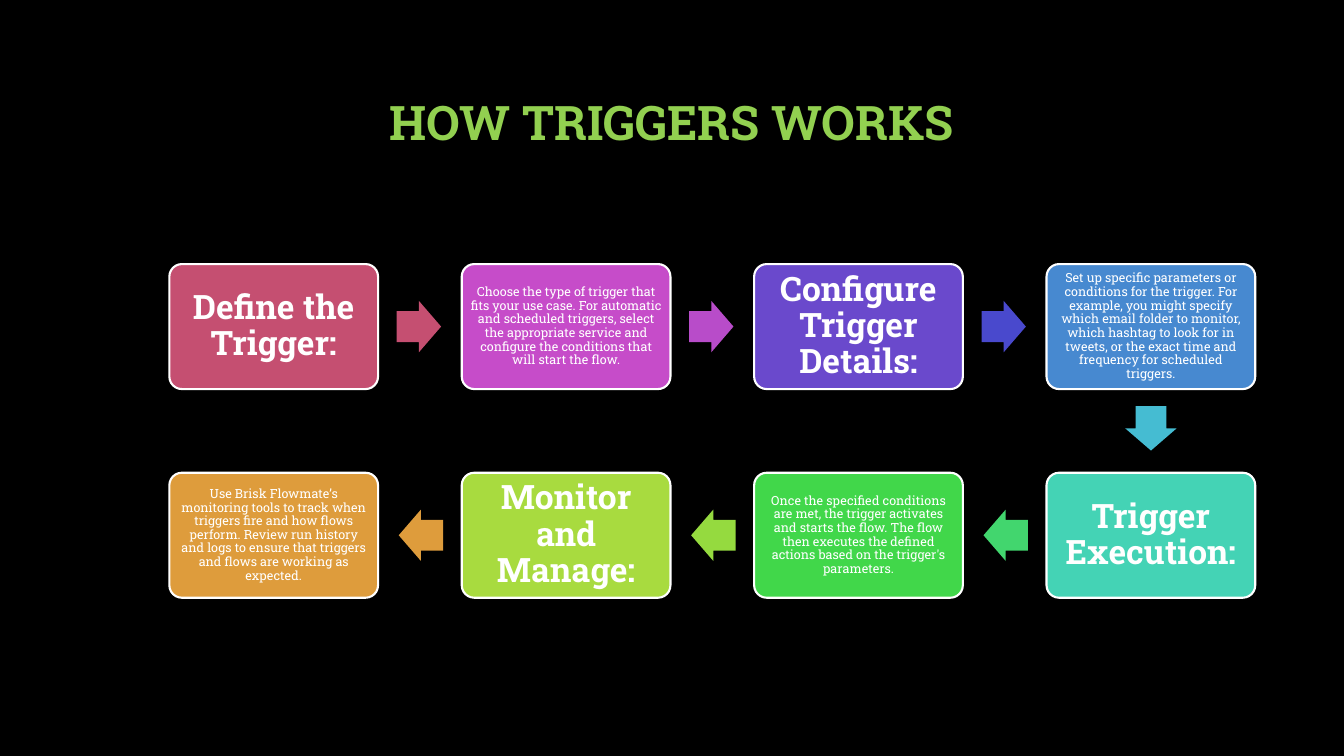
import pptx
import pptx.util
import pptx.dml.color
import pptx.enum.shapes
import pptx.enum.text

Inches = pptx.util.Inches
Color = pptx.dml.color.RGBColor
Shape = pptx.enum.shapes.MSO_SHAPE

BLACK = Color(0x00, 0x00, 0x00)
WHITE = Color(0xFF, 0xFF, 0xFF)
TITLE_GREEN = Color(0x92, 0xD0, 0x50)
FONT = "Roboto Slab"

# Content: text, whether it is a heading, box colour, colour of the arrow that follows
TITLE = "HOW TRIGGERS WORKS"
STEPS = [
    ("Define the Trigger:", True, "C54F71", "C54F71"),
    ("Choose the type of trigger that fits your use case. For automatic and scheduled "
     "triggers, select the appropriate service and configure the conditions that will "
     "start the flow.", False, "C64CC9", "B84CC9"),
    ("Configure Trigger Details:", True, "6A49CC", "4949CD"),
    ("Set up specific parameters or conditions for the trigger. For example, you might "
     "specify which email folder to monitor, which hashtag to look for in tweets, or the "
     "exact time and frequency for scheduled triggers.", False, "4789D0", "45BCD2"),
    ("Trigger Execution:", True, "44D3B5", "42D66E"),
    ("Once the specified conditions are met, the trigger activates and starts the flow. "
     "The flow then executes the defined actions based on the trigger's parameters.",
     False, "41D74A", "95DA3F"),
    ("Monitor and Manage:", True, "A8DB3F", "DE9C3C"),
    ("Use Brisk Flowmate’s monitoring tools to track when triggers fire and how flows "
     "perform. Review run history and logs to ensure that triggers and flows are working "
     "as expected.", False, "DE9C3C", None),
]

# Layout of the snake, in inches
COLUMNS = 4
LEFT, TOP = 1.68, 2.62
COLUMN_STEP, ROW_STEP = 2.9, 2.07
BOX_WIDTH, BOX_HEIGHT = 2.07, 1.24
ARROW_LENGTH, ARROW_BREADTH = 0.44, 0.51
ARROW_MIDDLE = 1.01  # from the centre of a box to the centre of the arrow below it
ARROW_SIDE = 1.44    # from the centre of a box to the centre of the arrow beside it


def write_text(shape, text, size, color, bold=False, inset=None):
    frame = shape.text_frame
    frame.word_wrap = True
    frame.auto_size = pptx.enum.text.MSO_AUTO_SIZE.NONE
    frame.vertical_anchor = pptx.enum.text.MSO_ANCHOR.MIDDLE
    if inset is not None:
        frame.margin_left = frame.margin_right = Inches(inset)
        frame.margin_top = frame.margin_bottom = Inches(inset)
    para = frame.paragraphs[0]
    para.alignment = pptx.enum.text.PP_ALIGN.CENTER
    para.line_spacing = 0.9
    span = para.add_run()
    span.text = text
    span.font.name = FONT
    span.font.size = pptx.util.Pt(size)
    span.font.bold = bold
    span.font.color.rgb = color


def add_filled(page, kind, center_x, center_y, width, height, fill):
    shape = page.shapes.add_shape(
        kind, Inches(center_x - width / 2), Inches(center_y - height / 2),
        Inches(width), Inches(height))
    shape.shadow.inherit = False
    shape.fill.solid()
    shape.fill.fore_color.rgb = Color.from_string(fill)
    shape.line.fill.background()
    return shape


def add_step(page, center_x, center_y, text, heading, fill):
    box = add_filled(page, Shape.ROUNDED_RECTANGLE, center_x, center_y,
                     BOX_WIDTH, BOX_HEIGHT, fill)
    box.adjustments[0] = 0.1
    box.line.color.rgb = WHITE
    box.line.width = pptx.util.Pt(1.5)
    write_text(box, text, 24 if heading else 9, WHITE, bold=heading,
               inset=0.1 if heading else 0.04)


def add_arrow(page, center_x, center_y, rotation, fill):
    arrow = add_filled(page, Shape.RIGHT_ARROW, center_x, center_y,
                       ARROW_LENGTH, ARROW_BREADTH, fill)
    arrow.adjustments[0] = 0.6
    arrow.adjustments[1] = 0.5
    arrow.rotation = rotation


def main():
    deck = pptx.Presentation()
    deck.slide_width, deck.slide_height = Inches(13.33), Inches(7.5)
    page = deck.slides.add_slide(deck.slide_layouts.get_by_name("Title Only"))
    page.background.fill.solid()
    page.background.fill.fore_color.rgb = BLACK

    # Title
    title = page.shapes.title
    title.left, title.top = Inches(1), Inches(0.67)
    title.width, title.height = Inches(11.32), Inches(1.15)
    write_text(title, TITLE, 34, TITLE_GREEN, bold=True)

    # Steps run right along the first row, then back along the second
    for index, (text, heading, fill, arrow_fill) in enumerate(STEPS):
        row, place = divmod(index, COLUMNS)
        column = place if row == 0 else COLUMNS - 1 - place
        x = LEFT + column * COLUMN_STEP + BOX_WIDTH / 2
        y = TOP + row * ROW_STEP + BOX_HEIGHT / 2
        add_step(page, x, y, text, heading, fill)
        if arrow_fill is None:
            continue
        if place == COLUMNS - 1:
            add_arrow(page, x, y + ARROW_MIDDLE, 90, arrow_fill)
        elif row == 0:
            add_arrow(page, x + ARROW_SIDE, y, 0, arrow_fill)
        else:
            add_arrow(page, x - ARROW_SIDE, y, 180, arrow_fill)

    deck.save("out.pptx")


if __name__ == "__main__":
    main()
